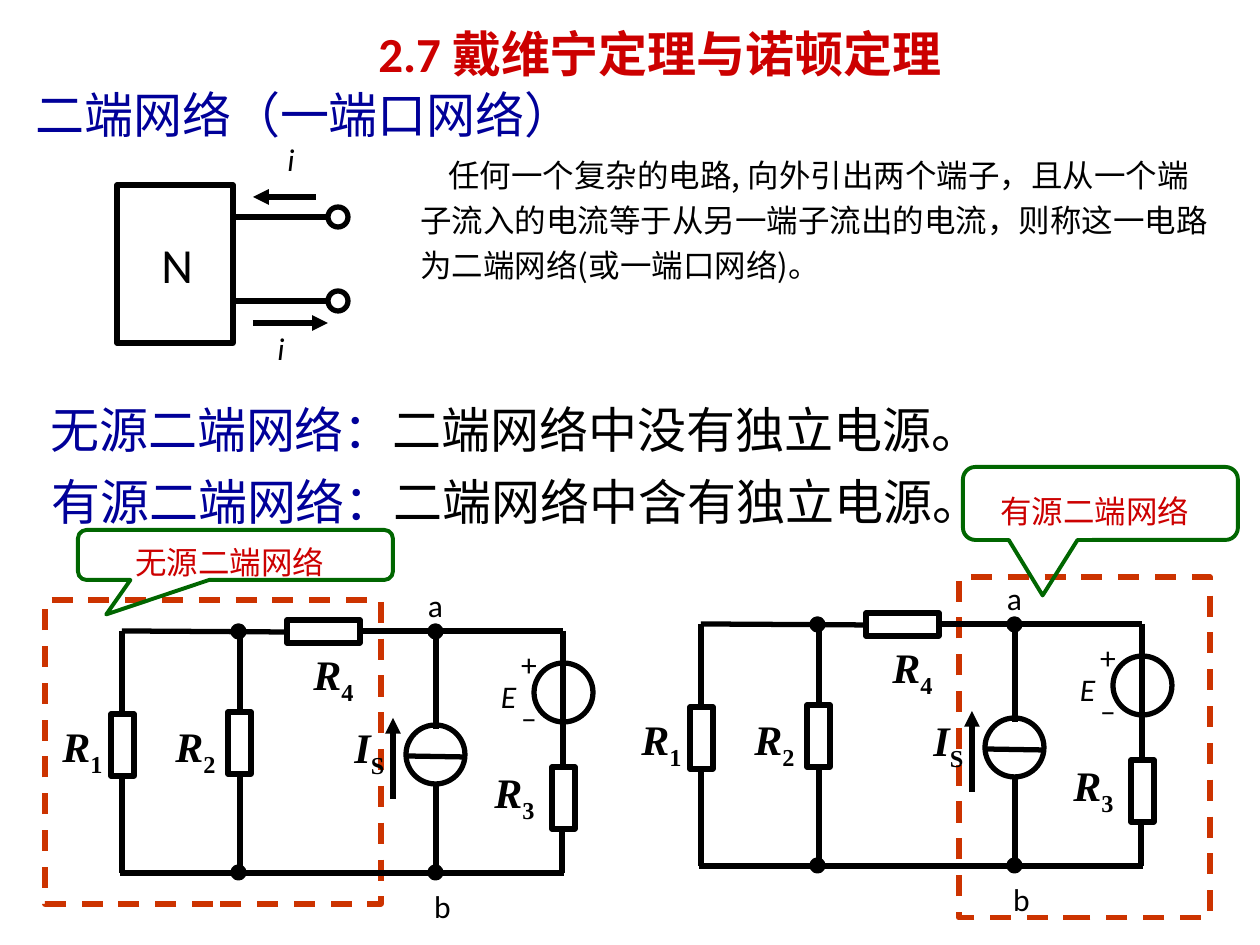
from lxml.etree import SubElement
from pptx import Presentation
from pptx.dml.color import RGBColor
from pptx.enum.dml import MSO_LINE
from pptx.enum.shapes import MSO_CONNECTOR, MSO_SHAPE
from pptx.enum.text import MSO_ANCHOR, PP_ALIGN
from pptx.oxml.ns import qn
from pptx.util import Pt

PX = 914400 // 126
CJK = "Noto Sans CJK SC"
THEME = {
    "colors": {"black": "000000", "red": "CC0000", "blue": "000099",
               "orange": "CC3300", "green": "006600"},
    "fonts": {
        "title": {"size": Pt(28), "name": "Calibri", "bold": True},
        "title_cjk": {"size": Pt(28), "name": "Noto Sans CJK JP", "bold": True},
        "heading": {"size": Pt(28), "name": CJK},
        "body": {"size": Pt(18), "name": CJK},
        "network": {"size": Pt(28), "name": "Calibri"},
        "label": {"size": Pt(18), "name": "Calibri"},
        "variable": {"size": Pt(18), "name": "Calibri", "italic": True},
        "symbol": {"size": Pt(24), "name": "Times New Roman", "bold": True, "italic": True},
        "subscript": {"size": Pt(24), "name": "Times New Roman", "bold": True},
    },
}

presentation = Presentation()
presentation.slide_width, presentation.slide_height = 1260 * PX, 945 * PX
shapes = presentation.slides.add_slide(presentation.slide_layouts[6]).shapes


def write(owner, paragraphs, align=PP_ALIGN.LEFT, **frame_format):
    """Fill a shape with paragraphs, each a list of (text, font, colour) runs."""
    frame = owner.text_frame
    for name, value in ({"word_wrap": True} | frame_format).items():
        setattr(frame, name, value)
    for index, runs in enumerate(paragraphs):
        paragraph = frame.add_paragraph() if index else frame.paragraphs[0]
        paragraph.alignment = align
        if index:
            paragraph.space_before = Pt(9)
        for text, font, color in runs:
            run = paragraph.add_run()
            run.text = text
            for name, value in THEME["fonts"][font].items():
                setattr(run.font, name, value)
            run.font.color.rgb = RGBColor.from_string(THEME["colors"][color])
            properties = run.font._element
            east_asian = CJK if run.font.name == "Calibri" else run.font.name
            SubElement(properties, qn("a:ea"), typeface=east_asian)
            if font == "subscript":
                properties.set("baseline", "-25000")
    return frame


def stroke(item, color="black", width=3, arrow=False):
    """Give a shape or connector a plain outline without a shadow."""
    item.line.color.rgb = RGBColor.from_string(THEME["colors"][color])
    item.line.width = Pt(width)
    properties = item.element.spPr
    if arrow:
        SubElement(properties.find(qn("a:ln")), qn("a:tailEnd"), type="triangle")
    SubElement(properties, qn("a:effectLst"))


# Title, heading, definition and the two kinds of network
passages = [
    ((268, 14, 784, 78), [("2.7 ", "title", "red"),
                          ("戴维宁定理与诺顿定理", "title_cjk", "red")],
     {"align": PP_ALIGN.CENTER, "vertical_anchor": MSO_ANCHOR.MIDDLE}),
    ((23, 78, 586, 72), [("二端网络（一端口网络）", "heading", "blue")], {}),
    ((38, 393, 1008, 72), [("无源二端网络：", "heading", "blue"),
                           ("二端网络中没有独立电源。", "heading", "black")], {}),
    ((39, 465, 1008, 72), [("有源二端网络：", "heading", "blue"),
                           ("二端网络中含有独立电源。", "heading", "black")], {}),
    ((149, 228, 63, 72), [("N", "network", "black")], {}),
    ((265, 323, 42, 63), [("i", "variable", "black")], {}),
    ((275, 134, 42, 63), [("i", "variable", "black")], {}),
]
for box, runs, options in passages:
    write(shapes.add_textbox(*(v * PX for v in box)), [runs], **options)

definition = write(
    shapes.add_textbox(*(v * PX for v in (408, 142, 820, 255))),
    [[("任何一个复杂的电路, 向外引出两个端子，且从一个端子流入的电流等于从另一端子流出的电流，"
       "则称这一电路为二端网络(或一端口网络)。", "body", "black")]]).paragraphs[0]
definition.line_spacing = 1.2
definition._p.get_or_add_pPr().set("indent", str(28 * PX))

# Dashed frames around the passive and active parts
for box in [(45, 600, 336, 304), (959, 577, 251, 341)]:
    part_frame = shapes.add_shape(MSO_SHAPE.RECTANGLE, *(v * PX for v in box))
    part_frame.fill.background()
    part_frame.line.dash_style = MSO_LINE.DASH
    stroke(part_frame, "orange")

callouts = [
    ("无源二端网络", (78, 530, 315, 50), (-0.41, 1.19, 0.17)),
    ("有源二端网络", (963, 467, 275, 73), (-0.21, 1.26, 0.17)),
]
for caption, box, pointer in callouts:
    callout = shapes.add_shape(MSO_SHAPE.ROUNDED_RECTANGULAR_CALLOUT, *(v * PX for v in box))
    for index, value in enumerate(pointer):
        callout.adjustments[index] = value
    callout.fill.background()
    stroke(callout, "green", 2.25)
    write(callout, [[(caption, "label", "red"), (" ", "network", "red")]],
          PP_ALIGN.CENTER, vertical_anchor=MSO_ANCHOR.MIDDLE, word_wrap=False)

# Each diagram: offset, outlines, wires, arrows, junction dots, labels
RECT, OVAL = MSO_SHAPE.RECTANGLE, MSO_SHAPE.OVAL
two_terminal = {
    "outlines": [(RECT, 117, 185, 116, 158), (OVAL, 328, 207, 20, 20), (OVAL, 328, 291, 20, 20)],
    "wires": [(233, 217, 328, 217), (233, 301, 328, 301)],
    "arrows": [(316, 197, 253, 197), (253, 323, 328, 323)],
    "junctions": [],
    "labels": [],
}
circuit = {
    "outlines": [
        (RECT, 111, 714, 23, 62), (RECT, 228, 712, 23, 62),
        (RECT, 552, 767, 23, 62), (RECT, 287, 620, 73, 23),
        (OVAL, 406, 725, 59, 59), (OVAL, 534, 663, 59, 59),
    ],
    "wires": [
        (122, 631, 287, 632), (360, 631, 563, 631), (120, 873, 564, 873),
        (122, 631, 122, 714), (122, 776, 122, 873),
        (240, 631, 240, 712), (240, 774, 240, 873),
        (436, 631, 436, 729), (436, 782, 436, 873), (405, 756, 464, 757),
        (563, 631, 563, 767), (562, 829, 562, 873),
    ],
    "arrows": [(393, 799, 393, 718)],
    "junctions": [(x, y) for x in (239, 436) for y in (632, 873)],
    "labels": [
        ((163, 718, 72, 63), [[("R", "symbol"), ("2", "subscript")]], PP_ALIGN.LEFT, True),
        ((469, 664, 79, 63), [[("E", "variable")]], PP_ALIGN.CENTER, True),
        ((500, 621, 58, 139), [[("+", "label")], [("–", "label")]], PP_ALIGN.CENTER, True),
        ((412, 573, 47, 63), [[("a", "label")]], PP_ALIGN.CENTER, False),
        ((418, 874, 49, 63), [[("b", "label")]], PP_ALIGN.CENTER, False),
    ] + [
        ((x, y, 127, 63), [[(letter, "symbol"), (sub, "subscript")]], PP_ALIGN.CENTER, True)
        for letter, sub, x, y in [("R", "1", 19, 718), ("I", "S", 306, 719),
                                  ("R", "3", 451, 764), ("R", "4", 270, 646)]
    ],
}
for diagram, dx, dy in [(two_terminal, 0, 0), (circuit, 0, 0), (circuit, 579, -7)]:
    for kind, x, y, width, height in diagram["outlines"]:
        component = shapes.add_shape(kind, (x + dx) * PX, (y + dy) * PX, width * PX, height * PX)
        component.fill.background()
        stroke(component)
    for group in ("wires", "arrows"):
        for x1, y1, x2, y2 in diagram[group]:
            wire = shapes.add_connector(MSO_CONNECTOR.STRAIGHT, (x1 + dx) * PX, (y1 + dy) * PX,
                                        (x2 + dx) * PX, (y2 + dy) * PX)
            stroke(wire, arrow=group == "arrows")
    for x, y in diagram["junctions"]:
        junction = shapes.add_shape(OVAL, (x - 6 + dx) * PX, (y - 6 + dy) * PX, 11 * PX, 11 * PX)
        junction.fill.solid()
        junction.fill.fore_color.rgb = RGBColor.from_string(THEME["colors"]["black"])
        stroke(junction)
    for (x, y, width, height), lines, align, wrap in diagram["labels"]:
        label = shapes.add_textbox((x + dx) * PX, (y + dy) * PX, width * PX, height * PX)
        write(label, [[(text, font, "black") for text, font in line] for line in lines],
              align, vertical_anchor=MSO_ANCHOR.MIDDLE, word_wrap=wrap)

presentation.save("out.pptx")
